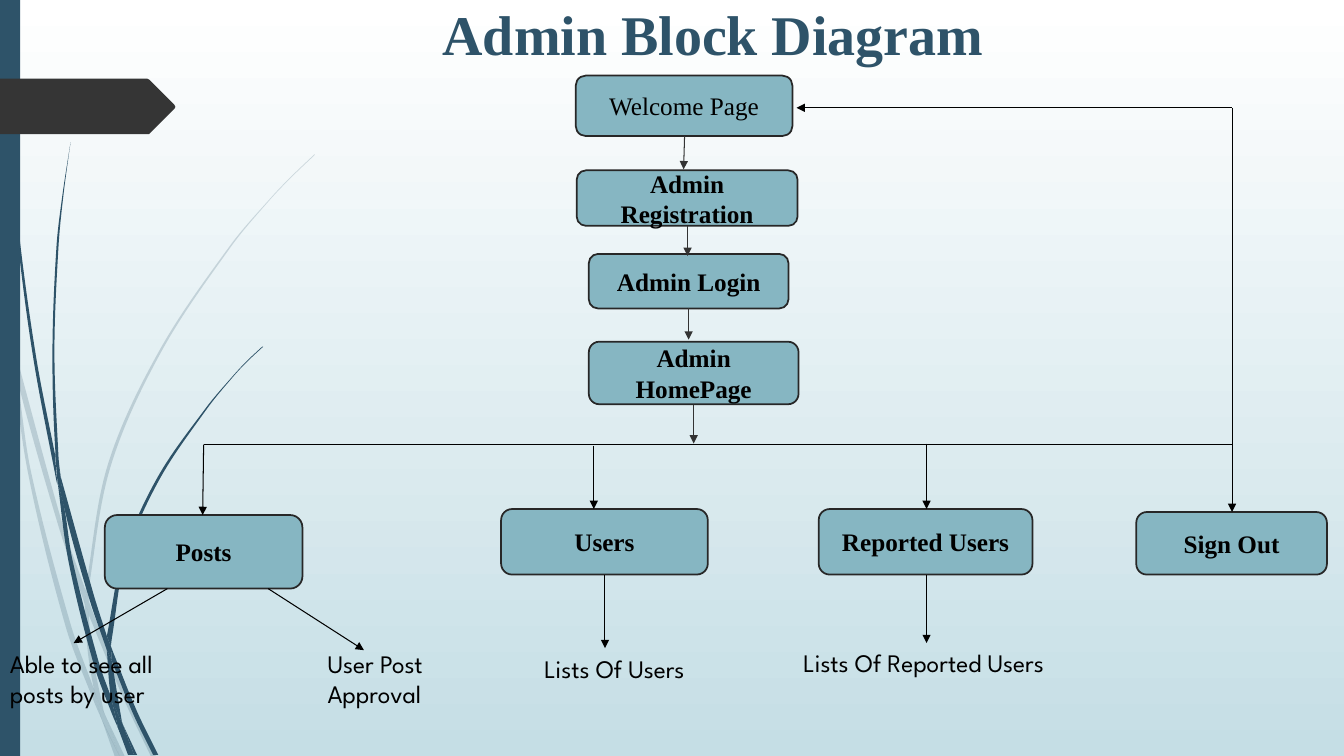
import math
from dataclasses import dataclass

import lxml.etree
import pptx
import pptx.dml.color
import pptx.enum.shapes
import pptx.enum.text
import pptx.oxml.ns
import pptx.util

EMU_PER_PX = 9144  # 100 px to the inch
NAVY, BLACK, CHARCOAL = "2E5369", "000000", "333333"
SERIF, SANS = "Times New Roman", "League Spartan"
Point = tuple[float, float]


@dataclass
class Box:
    text: str
    left: int
    top: int
    width: int
    height: int
    bold: bool = True


@dataclass
class Line:
    start: Point
    end: Point
    color: str = BLACK
    arrow: bool = True


@dataclass
class Wisp:
    """A closed outline: each edge runs on smoothly from the end of the one before."""
    start: Point
    edges: list[list[Point]]


PALE_WISPS = [
    Wisp((11, 350), [[(9, 322), (0, 282)], [(0, 299)], [(10, 344), (11, 350)]]),
    Wisp((14, 345), [[(17, 376), (58, 522), (84, 599)], [(85, 586)], [(62, 520), (14, 345)]]),
    Wisp((88, 596), [[(88, 610)], [(123, 694), (150, 751)], [(155, 751)],
                     [(127, 692), (92, 607), (88, 596)]]),
    Wisp((105, 711), [[(119, 751)], [(124, 751)], [(105, 711)]]),
    Wisp((11, 350), [[(28, 470), (65, 621), (92, 693), (101, 714)], [(99, 707), (93, 683)],
                     [(70, 619), (31, 469), (17, 376), (11, 350)]]),
    Wisp((84, 599), [[(87, 646), (93, 683), (96, 692), (105, 711)],
                     [(103, 706), (91, 646), (88, 610)], [(88, 608), (84, 599)]]),
    Wisp((312, 153), [[(289, 175), (268, 197), (228, 244), (158, 348), (107, 461), (85, 584),
                       (85, 586)], [(88, 596)],
                      [(88, 584), (110, 462), (160, 349), (229, 245), (268, 198), (290, 175),
                       (312, 154)], [(312, 153)]]),
    Wisp((101, 714), [[(114, 751)], [(119, 751)], [(101, 714)]]),
    Wisp((84, 599), [[(88, 608), (88, 610)], [(88, 596)], [(85, 586)], [(84, 599)]]),
    Wisp((93, 683), [[(99, 707), (101, 714), (119, 751)], [(105, 711)], [(96, 692), (93, 683)]]),
]
DARK_WISPS = [
    Wisp((3, 0), [[(4, 48), (7, 110), (17, 233), (33, 355), (56, 477), (57, 481)],
                  [(55, 457), (55, 453)],
                  [(36, 355), (19, 232), (8, 109), (5, 48), (4, 0)], [(3, 0)]]),
    Wisp((60, 472), [[(64, 505), (88, 592), (106, 645)], [(106, 631)], [(93, 590), (60, 472)]]),
    Wisp((110, 641), [[(111, 656)], [(132, 708), (152, 749)], [(157, 749)],
                      [(136, 706), (113, 649), (110, 641)]]),
    Wisp((57, 477), [[(68, 557), (93, 659), (111, 708), (117, 722)], [(116, 717), (110, 691)],
                     [(98, 657), (72, 556), (64, 505), (57, 477)]]),
    Wisp((70, 141), [[(62, 193), (56, 245), (52, 349), (55, 449), (60, 472)],
                     [(58, 453), (54, 349), (58, 245), (63, 193), (70, 141)]]),
    Wisp((122, 719), [[(133, 749)], [(136, 749)], [(122, 719)]]),
    Wisp((55, 449), [[(55, 453), (57, 477)], [(64, 505)], [(60, 472)], [(55, 449)]]),
    Wisp((260, 344), [[(245, 358), (231, 373), (204, 405), (156, 474), (122, 551), (106, 631)],
                      [(110, 641)],
                      [(111, 633), (125, 552), (158, 476), (205, 406), (231, 374), (245, 359),
                       (261, 344)], [(260, 344)]]),
    Wisp((117, 722), [[(127, 749)], [(131, 749)], [(117, 722)]]),
    Wisp((106, 645), [[(110, 691), (116, 706), (122, 719)], [(121, 716), (111, 656)],
                      [(109, 651), (106, 645)]]),
    Wisp((106, 631), [[(106, 645)], [(109, 651), (111, 656)], [(110, 641)], [(106, 631)]]),
    Wisp((110, 691), [[(116, 717), (117, 722), (130, 749)], [(133, 749)], [(122, 719)],
                      [(116, 706), (110, 691)]]),
]
PAGE_TAG = Wisp((0, 78), [[corner] for corner in [
    (146, 78), (148, 79), (173, 104), (174, 106), (173, 108), (148, 133), (146, 133), (0, 133)]])

BOXES = [
    Box("Welcome Page", 571, 75, 215, 60, bold=False),
    Box("Admin Registration", 572, 169, 219, 55),
    Box("Admin Login", 584, 252, 198, 54),
    Box("Admin HomePage", 584, 339, 208, 62),
    Box("Posts", 104, 511, 196, 73),
    Box("Users", 497, 505, 205, 65),
    Box("Reported Users", 812, 505, 212, 65),
    Box("Sign Out", 1127, 508, 189, 62),
]
LABELS = [
    Box("Able to see all posts by user", 0, 638, 214, 71, bold=False),
    Box("User Post Approval", 315, 638, 182, 71, bold=False),
    Box("Lists Of Users", 530, 643, 224, 40, bold=False),
    Box("Lists Of Reported Users", 787, 637, 311, 40, bold=False),
]
LINES = [
    # Main flow
    Line((679, 135), (678, 168), CHARCOAL),
    Line((682, 224), (682, 254), CHARCOAL),
    Line((683, 306), (683, 337), CHARCOAL),
    Line((688, 402), (688, 440), CHARCOAL),
    # Branches from the home page
    Line((202, 441), (1222, 441), arrow=False),
    Line((202, 441), (201, 511)),
    Line((589, 442), (589, 505)),
    Line((919, 440), (919, 505)),
    Line((1222, 440), (1222, 508)),
    # Return to the welcome page
    Line((1222, 442), (1222, 107), arrow=False),
    Line((1222, 107), (790, 107)),
    # Branch results
    Line((166, 584), (73, 638)),
    Line((266, 584), (361, 645)),
    Line((600, 570), (600, 643)),
    Line((919, 570), (919, 638)),
]


def px(value: float) -> pptx.util.Emu:
    return pptx.util.Emu(round(value * EMU_PER_PX))


def rgb(color: str) -> pptx.dml.color.RGBColor:
    return pptx.dml.color.RGBColor.from_string(color)


def control_points(edge: list[Point]) -> list[tuple[Point, Point]]:
    """Bezier handles of each segment, with tangents set by the neighbouring points."""
    slopes = []
    for before, here, after in zip(edge[:1] + edge, edge, edge[1:] + edge[-1:]):
        span = math.dist(before, here) + math.dist(here, after)
        slopes.append(((after[0] - before[0]) / span, (after[1] - before[1]) / span))
    handles = []
    for start, end, leave, arrive in zip(edge, edge[1:], slopes, slopes[1:]):
        reach = math.dist(start, end) / 3
        handles.append(((start[0] + reach * leave[0], start[1] + reach * leave[1]),
                        (end[0] - reach * arrive[0], end[1] - reach * arrive[1])))
    return handles


def paint(shape, color: str, opacity: int = 100) -> None:
    shape.shadow.inherit = False
    shape.fill.solid()
    shape.fill.fore_color.rgb = rgb(color)
    shape.line.fill.background()
    if opacity < 100:
        color_element = next(shape.element.spPr.iter(pptx.oxml.ns.qn("a:srgbClr")))
        alpha = lxml.etree.SubElement(color_element, pptx.oxml.ns.qn("a:alpha"))
        alpha.set("val", str(opacity * 1000))


def draw_wisp(shapes, wisp: Wisp, color: str, opacity: int = 100) -> None:
    points = [wisp.start] + [point for edge in wisp.edges for point in edge]
    corners = [(px(x), px(y)) for x, y in points]
    builder = shapes.build_freeform(*corners[0])
    builder.add_line_segments(corners[1:], close=True)
    shape = builder.convert_to_shape()
    paint(shape, color, opacity)
    left, top = min(x for x, _ in corners), min(y for _, y in corners)
    segments = iter(list(shape.element.iter(pptx.oxml.ns.qn("a:lnTo"))))
    start = wisp.start
    for edge in wisp.edges:
        for handles in control_points([start] + edge):
            segment = next(segments)
            if len(edge) > 1:
                segment.tag = pptx.oxml.ns.qn("a:cubicBezTo")
                for position, (x, y) in enumerate(handles):
                    handle = lxml.etree.Element(pptx.oxml.ns.qn("a:pt"))
                    handle.set("x", str(px(x) - left))
                    handle.set("y", str(px(y) - top))
                    segment.insert(position, handle)
        start = edge[-1]


def write(shape, text: str, *, font: str = SERIF, size: int = 18, color: str = BLACK,
          bold: bool = False, centered: bool = False) -> None:
    frame = shape.text_frame
    frame.word_wrap = True
    anchors, alignments = pptx.enum.text.MSO_ANCHOR, pptx.enum.text.PP_ALIGN
    frame.vertical_anchor = anchors.MIDDLE if centered else anchors.TOP
    paragraph = frame.paragraphs[0]
    paragraph.alignment = alignments.CENTER if centered else alignments.LEFT
    run = paragraph.add_run()
    run.text = text
    run.font.name, run.font.size, run.font.bold = font, pptx.util.Pt(size), bold
    run.font.color.rgb = rgb(color)


def draw_box(slide, box: Box) -> None:
    shape = slide.shapes.add_shape(pptx.enum.shapes.MSO_SHAPE.ROUNDED_RECTANGLE,
                                   px(box.left), px(box.top), px(box.width), px(box.height))
    paint(shape, "86B6C2")
    shape.line.color.rgb = rgb("272727")
    shape.line.width = pptx.util.Pt(1.25)
    write(shape, box.text, bold=box.bold, centered=True)


def draw_text(slide, box: Box, **text_format) -> None:
    shape = slide.shapes.add_textbox(px(box.left), px(box.top), px(box.width), px(box.height))
    write(shape, box.text, bold=box.bold, **text_format)


def draw_line(slide, line: Line) -> None:
    connector = slide.shapes.add_connector(pptx.enum.shapes.MSO_CONNECTOR.STRAIGHT,
                                           *map(px, line.start + line.end))
    connector.line.color.rgb = rgb(line.color)
    connector.line.width = pptx.util.Pt(0.75)
    properties = connector.element.spPr
    if line.arrow:
        stroke = properties.find(pptx.oxml.ns.qn("a:ln"))
        lxml.etree.SubElement(stroke, pptx.oxml.ns.qn("a:tailEnd")).set("type", "triangle")
    lxml.etree.SubElement(properties, pptx.oxml.ns.qn("a:effectLst"))


def main() -> None:
    presentation = pptx.Presentation()
    presentation.slide_width, presentation.slide_height = px(1333), px(750)
    slide = presentation.slides.add_slide(presentation.slide_layouts[6])
    # Background and decoration
    background = slide.background.fill
    background.gradient()
    background.gradient_angle = 270
    for stop, position, color in zip(background.gradient_stops, (0, 1), ("FFFFFF", "C5DEE5")):
        stop.position, stop.color.rgb = position, rgb(color)
    for wisps, opacity in ((PALE_WISPS, 20), (DARK_WISPS, 100)):
        group = slide.shapes.add_group_shape()
        for wisp in wisps:
            draw_wisp(group.shapes, wisp, NAVY, opacity)
    side_bar = slide.shapes.add_shape(pptx.enum.shapes.MSO_SHAPE.RECTANGLE,
                                      px(0), px(0), px(20), px(750))
    paint(side_bar, NAVY)
    draw_wisp(slide.shapes, PAGE_TAG, "353535")
    # Title and diagram
    draw_text(slide, Box("Admin Block Diagram", 429, -5, 975, 87), size=40, color=NAVY)
    for box in BOXES:
        draw_box(slide, box)
    for label in LABELS:
        draw_text(slide, label, font=SANS)
    for line in LINES:
        draw_line(slide, line)
    presentation.save("out.pptx")


if __name__ == "__main__":
    main()
